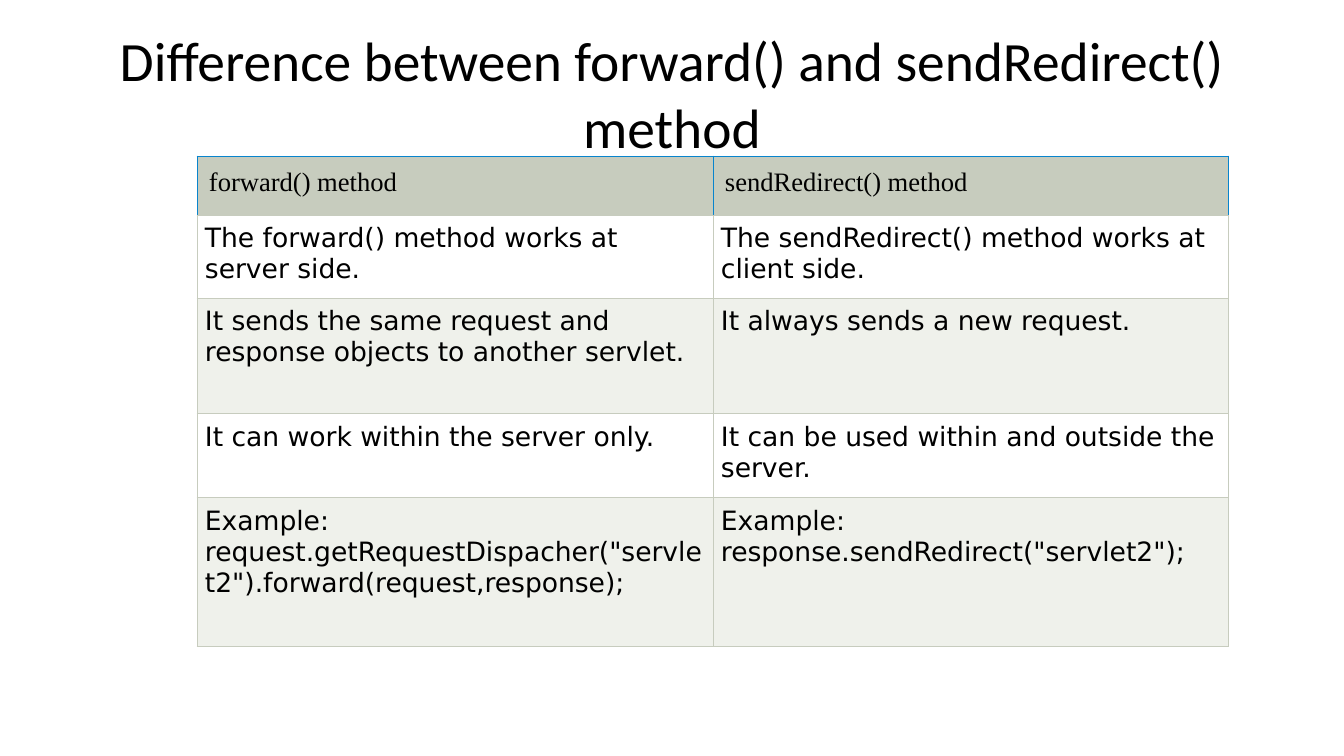
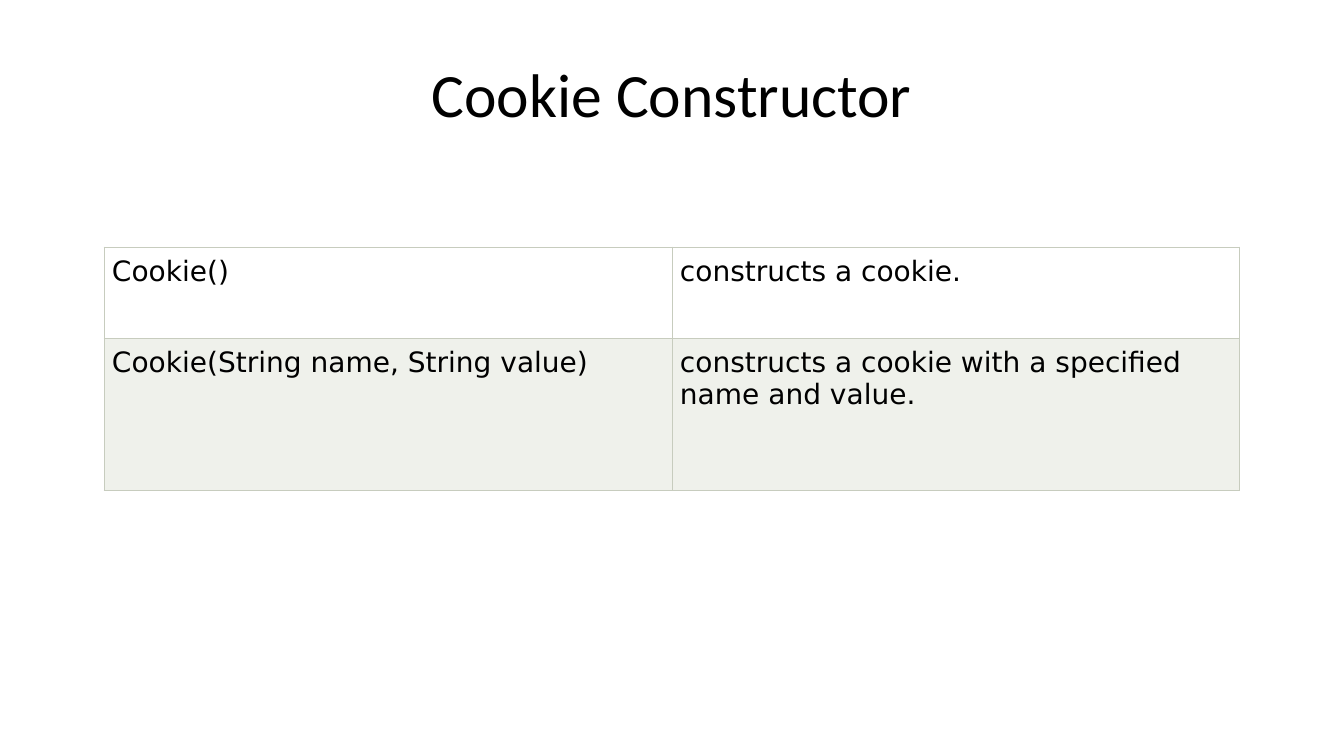
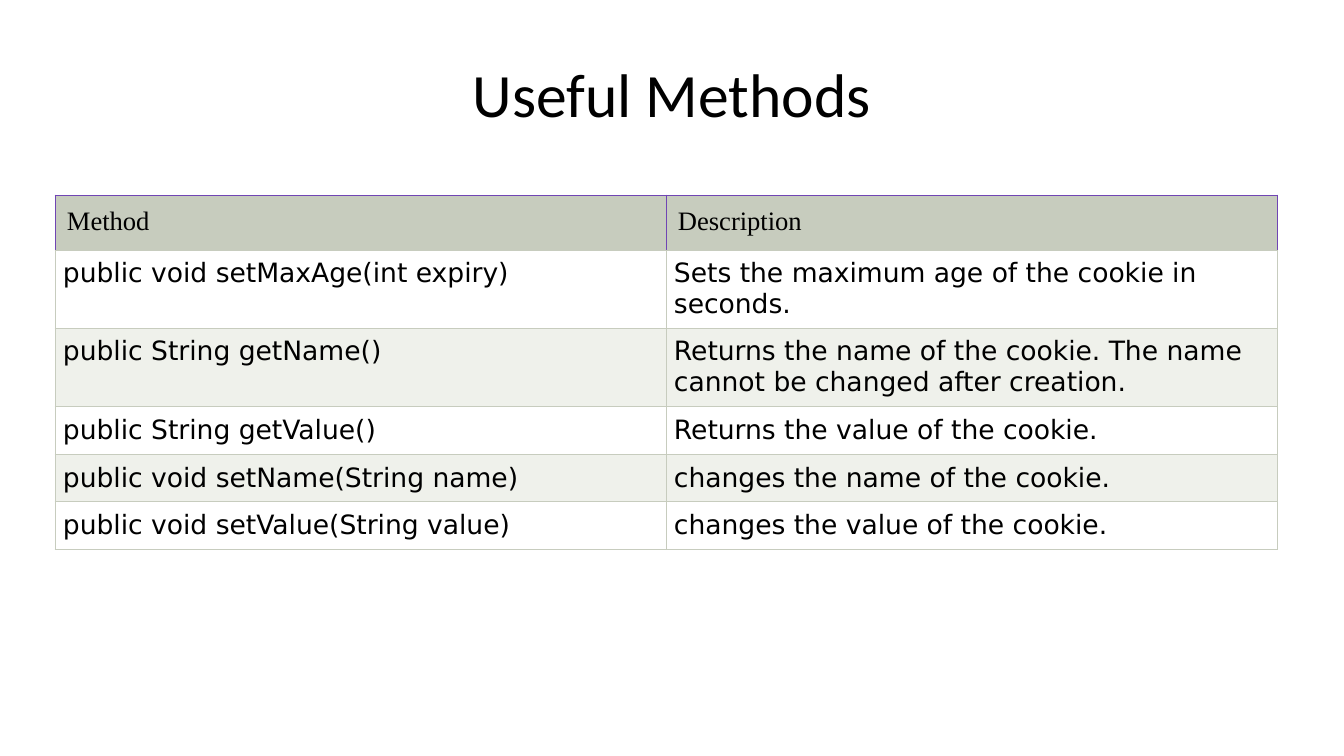
from lxml.etree import SubElement
from pptx import Presentation
from pptx.dml.color import RGBColor
from pptx.enum.text import MSO_ANCHOR, MSO_AUTO_SIZE, PP_ALIGN
from pptx.oxml import parse_xml
from pptx.oxml.ns import nsdecls, qn
from pptx.util import Emu, Pt

BLACK, WHITE, SAGE, PALE = "000000", "FFFFFF", "C7CCBE", "EFF1EB"
TITLE_FONT, HEADER_FONT, BODY_FONT = "Calibri", "Times New Roman", "DejaVu Sans"
TITLE_BOX = (67, 30, 1210, 126)
HEADER_INSET, BODY_INSET = 12, 8
BORDER_WIDTH = Pt(0.75)

SLIDES = [
    {
        "title": "Difference between forward() and sendRedirect() method",
        "title_size": 39.6,
        "text_size": 19,
        "at": (197, 156),
        "column_width": 516,
        "row_heights": [59, 83, 116, 84, 149],
        "header_border": "0884CD",
        "header": ("forward() method", "sendRedirect() method"),
        "rows": [
            ("The forward() method works at server side.",
             "The sendRedirect() method works at client side."),
            ("It sends the same request and response objects to another servlet.",
             "It always sends a new request."),
            ("It can work within the server only.",
             "It can be used within and outside the server."),
            ('Example: request.getRequestDispacher("servlet2").forward(request,response);',
             'Example: response.sendRedirect("servlet2");'),
        ],
    },
    {
        "title": "Cookie Constructor",
        "title_size": 44,
        "text_size": 20,
        "at": (104, 247),
        "column_width": 568,
        "row_heights": [91, 152],
        "rows": [
            ("Cookie()", "constructs a cookie."),
            ("Cookie(String name, String value)",
             "constructs a cookie with a specified name and value."),
        ],
    },
    {
        "title": "Useful Methods",
        "title_size": 44,
        "text_size": 19,
        "at": (55, 195),
        "column_width": 611,
        "row_heights": [55, 78, 79, 48, 47, 48],
        "header_border": "7045B4",
        "header": ("Method", "Description"),
        "rows": [
            ("public void setMaxAge(int expiry)",
             "Sets the maximum age of the cookie in seconds."),
            ("public String getName()",
             "Returns the name of the cookie. The name cannot be changed after creation."),
            ("public String getValue()", "Returns the value of the cookie."),
            ("public void setName(String name)", "changes the name of the cookie."),
            ("public void setValue(String value)", "changes the value of the cookie."),
        ],
    },
]


def px(length):
    return Emu(round(length * 914400 / 100.8))


def color(value):
    return RGBColor.from_string(value)


def set_font(para, name, size):
    para.font.name = name
    para.font.size = Pt(size)
    para.font.color.rgb = color(BLACK)


def add_title(page, text, size):
    title = page.shapes.title
    title.left, title.top, title.width, title.height = map(px, TITLE_BOX)
    frame = title.text_frame
    frame.text = text
    frame.word_wrap = True
    frame.auto_size = MSO_AUTO_SIZE.NONE
    frame.vertical_anchor = MSO_ANCHOR.MIDDLE
    para = frame.paragraphs[0]
    para.alignment = PP_ALIGN.CENTER
    set_font(para, TITLE_FONT, size)


def set_borders(cell, edge_color):
    properties = cell._tc.get_or_add_tcPr()
    sides = [("lnL", edge_color), ("lnR", edge_color), ("lnT", edge_color), ("lnB", SAGE)]
    for index, (side, value) in enumerate(sides):
        line = parse_xml(f'<a:{side} {nsdecls("a")} w="{BORDER_WIDTH}"/>')
        fill = SubElement(line, qn("a:solidFill"))
        SubElement(fill, qn("a:srgbClr"), val=value)
        properties.insert(index, line)


def fill_cell(cell, text, font, size, inset, background, edge_color):
    cell.text = text
    cell.margin_left = cell.margin_right = px(inset)
    cell.margin_top = cell.margin_bottom = px(inset)
    cell.fill.solid()
    cell.fill.fore_color.rgb = color(background)
    set_font(cell.text_frame.paragraphs[0], font, size)
    set_borders(cell, edge_color)


def add_grid(page, content):
    size = content["text_size"]
    lines = []
    if "header" in content:
        header_style = (HEADER_FONT, size, HEADER_INSET, SAGE, content["header_border"])
        lines.append((content["header"], header_style))
    for index, texts in enumerate(content["rows"]):
        background = PALE if index % 2 else WHITE
        lines.append((texts, (BODY_FONT, size, BODY_INSET, background, SAGE)))

    left, top = content["at"]
    heights = content["row_heights"]
    columns = len(content["rows"][0])
    width = columns * content["column_width"]
    table = page.shapes.add_table(
        len(lines), columns, px(left), px(top), px(width), px(sum(heights))).table
    table.first_row = table.horz_banding = False
    for column in table.columns:
        column.width = px(content["column_width"])
    for row, height, (texts, style) in zip(table.rows, heights, lines):
        row.height = px(height)
        for cell, text in zip(row.cells, texts):
            fill_cell(cell, text, *style)


def main():
    deck = Presentation()
    deck.slide_width, deck.slide_height = px(1344), px(756)
    for content in SLIDES:
        page = deck.slides.add_slide(deck.slide_layouts[5])
        add_title(page, content["title"], content["title_size"])
        add_grid(page, content)
    deck.save("out.pptx")


if __name__ == "__main__":
    main()
